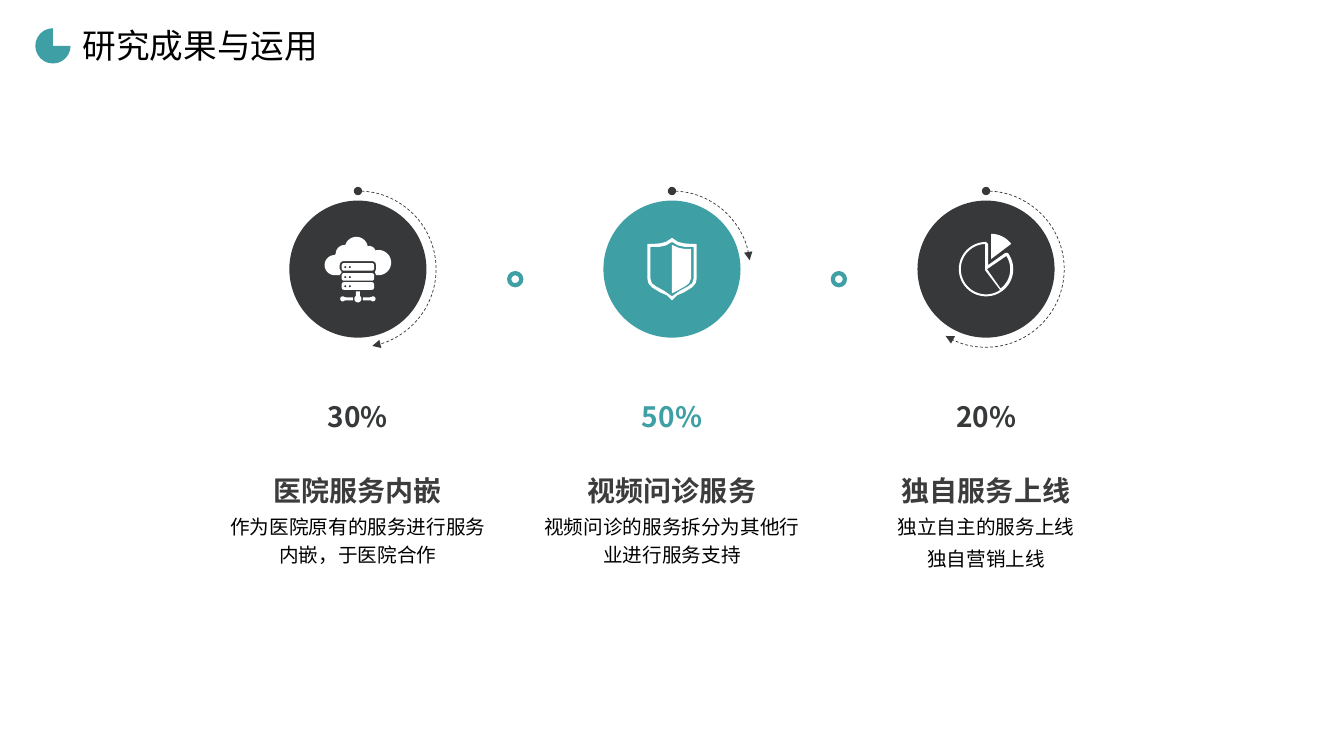
from dataclasses import dataclass
from math import cos, radians, sin

from lxml import etree
from pptx import Presentation
from pptx.dml.color import RGBColor
from pptx.enum.dml import MSO_LINE
from pptx.enum.shapes import MSO_SHAPE
from pptx.enum.text import MSO_ANCHOR, MSO_AUTO_SIZE, PP_ALIGN
from pptx.oxml.ns import qn
from pptx.util import Inches, Pt

ELLIPSE, ARC, PIE = MSO_SHAPE.OVAL, MSO_SHAPE.ARC, MSO_SHAPE.PIE
DASH = MSO_LINE.DASH
TOP, MIDDLE = MSO_ANCHOR.TOP, MSO_ANCHOR.MIDDLE
LEFT, CENTER = PP_ALIGN.LEFT, PP_ALIGN.CENTER
NO_FIT = MSO_AUTO_SIZE.NONE


@dataclass(frozen=True)
class Theme:
    teal: RGBColor = RGBColor.from_string("3E9FA5")
    dark: RGBColor = RGBColor.from_string("363839")
    heading: RGBColor = RGBColor.from_string("3C3C3C")
    black: RGBColor = RGBColor.from_string("000000")
    white: RGBColor = RGBColor.from_string("FFFFFF")
    display_font: str = "Noto Sans CJK SC"
    text_font: str = "Arial"
    title_size: int = 24
    heading_size: int = 20
    body_size: int = 14


THEME = Theme()


def arc(cx, cy, radius, start, end, steps=24):
    angles = [radians(start + (end - start) * i / steps) for i in range(steps + 1)]
    return [(cx + radius * cos(a), cy + radius * sin(a)) for a in angles]


def rounded_bar(left, top, width, height, radius=0.02):
    right, bottom = left + width - radius, top + height - radius
    left, top = left + radius, top + radius
    corners = [(left, top, 180), (right, top, 270), (right, bottom, 0), (left, bottom, 90)]
    return [p for x, y, a in corners for p in arc(x, y, radius, a, a + 90, 6)]


def mirrored(half):
    return half + [(-x, y) for x, y in half[-2:0:-1]]


def cloud_server():
    cloud = (
        arc(-0.23, -0.04, 0.1, 90, 270)
        + arc(-0.13, -0.15, 0.09, 180, 270)
        + arc(-0.015, -0.205, 0.115, 195, 350)
        + arc(0.11, -0.16, 0.07, 270, 325)
        + arc(0.205, -0.065, 0.125, -105, 90)
        + [(0.18, 0.06), (0.17, 0.03), (0.18, 0), (0.18, -0.04)]
        + arc(0.14, -0.04, 0.04, 0, -90, 8)
        + arc(-0.14, -0.04, 0.04, -90, -180, 8)
        + [(-0.18, 0), (-0.16, 0.03), (-0.18, 0.06)]
    )
    servers = []
    for top in (-0.06, 0.04, 0.13):
        servers.append(rounded_bar(-0.16, top, 0.32, 0.075))
        servers += [arc(x, top + 0.04, 0.011, 0, 360, 12) for x in (-0.125, -0.08)]
    network = [
        arc(0, 0.295, 0.035, -55, 235) + [(-0.02, 0.22), (0.02, 0.22)],
        arc(-0.15, 0.295, 0.025, 40, 320) + [(-0.05, 0.28), (-0.05, 0.31)],
        arc(0.15, 0.295, 0.025, 220, 500) + [(0.05, 0.31), (0.05, 0.28)],
    ]
    return [cloud] + servers + network


def shield():
    rim = [(0, -0.31), (0.06, -0.27), (0.12, -0.255), (0.19, -0.25), (0.245, -0.25),
           (0.245, 0.09), (0.235, 0.14), (0.2, 0.18), (0.12, 0.23), (0.05, 0.26), (0, 0.31)]
    inside = [(0, -0.27), (0.06, -0.235), (0.13, -0.22), (0.215, -0.22), (0.215, 0.09),
              (0.2, 0.14), (0.16, 0.17), (0.07, 0.22), (0, 0.27)]
    right_half = [(0, -0.24), (0.07, -0.21), (0.13, -0.2), (0.19, -0.2), (0.19, 0.09),
                  (0.17, 0.14), (0.13, 0.17), (0.06, 0.21), (0, 0.24)]
    return [mirrored(rim), mirrored(inside), right_half]


def pie_chart():
    return [
        arc(0, 0, 0.27, -37, 270, 48) + [(0.02, -0.25), (0.02, -0.04), (0.19, -0.16)],
        arc(0, 0, 0.24, -33, 53) + [(0.01, 0)],
        arc(0, 0, 0.25, 56, 268, 36) + [(-0.01, 0), (-0.01, 0.01)],
        arc(0.05, -0.1, 0.25, -90, -37) + [(0.05, -0.1)],
    ]


TITLE = "研究成果与运用"
SERVICES = [
    ("30%", "医院服务内嵌", ["作为医院原有的服务进行服务内嵌，于医院合作"],
     THEME.dark, 47.66, cloud_server()),
    ("50%", "视频问诊服务", ["视频问诊的服务拆分为其他行业进行服务支持"],
     THEME.teal, 212.09, shield()),
    ("20%", "独自服务上线", ["独立自主的服务上线", "独自营销上线"],
     THEME.dark, 72.7, pie_chart()),
]
FIRST_X, PITCH, CIRCLE_Y = 3.55, 3.115, 2.67
SEPARATOR_XS, SEPARATOR_Y = (5.11, 8.32), 2.77

prs = Presentation()
prs.slide_width, prs.slide_height = Inches(13.33), Inches(7.5)
slide = prs.slides.add_slide(prs.slide_layouts[5])


def add_round(kind, cx, cy, size, fill=None, line=None, weight=0):
    shape = slide.shapes.add_shape(
        kind, Inches(cx - size / 2), Inches(cy - size / 2), Inches(size), Inches(size))
    shape.shadow.inherit = False
    if fill is None:
        shape.fill.background()
    else:
        shape.fill.solid()
        shape.fill.fore_color.rgb = fill
    if line is None:
        shape.line.fill.background()
    else:
        shape.line.color.rgb = line
        shape.line.width = Pt(weight)
    return shape


def add_progress(cx, sweep_end):
    progress = add_round(ARC, cx, CIRCLE_Y, 1.55, line=THEME.dark, weight=0.5)
    progress.adjustments[0], progress.adjustments[1] = 162, sweep_end
    progress.line.dash_style = DASH
    outline = progress.line._get_or_add_ln()
    for end, kind in (("a:headEnd", "oval"), ("a:tailEnd", "triangle")):
        etree.SubElement(outline, qn(end)).set("type", kind)


def add_icon(cx, contours):
    placed = [[(Inches(cx + x), Inches(CIRCLE_Y + y)) for x, y in c] for c in contours]
    builder = slide.shapes.build_freeform(*placed[0][0])
    for index, points in enumerate(placed):
        if index:
            builder.move_to(*points[0])
        builder.add_line_segments(points[1:], close=True)
    icon = builder.convert_to_shape()
    icon.shadow.inherit = False
    icon.fill.solid()
    icon.fill.fore_color.rgb = THEME.white
    icon.line.fill.background()


def write(frame, lines, size, color, font, bold=False, align=CENTER,
          anchor=TOP, spacing=1.2, wrap=True):
    frame.text = "\n".join(lines)
    frame.auto_size, frame.word_wrap, frame.vertical_anchor = NO_FIT, wrap, anchor
    for index, paragraph in enumerate(frame.paragraphs):
        paragraph.alignment, paragraph.line_spacing = align, spacing
        paragraph.space_before = Pt(0.2 * size if index else 0)
        paragraph.font.size, paragraph.font.bold = Pt(size), bold
        paragraph.font.name, paragraph.font.color.rgb = font, color


def add_label(cx, top, width, height, lines, *style, inset=0, **options):
    box = slide.shapes.add_textbox(
        Inches(cx - width / 2), Inches(top), Inches(width), Inches(height))
    frame = box.text_frame
    frame.margin_left = frame.margin_right = Inches(inset)
    frame.margin_top = frame.margin_bottom = Inches(inset / 2)
    write(frame, lines, *style, **options)


title = slide.shapes.title
title.left, title.top, title.width, title.height = map(Inches, (0.72, 0.2, 2.56, 0.5))
write(title.text_frame, [TITLE], THEME.title_size, THEME.black, THEME.display_font,
      align=LEFT, spacing=1.0, wrap=False)
add_round(PIE, 0.525, 0.455, 0.35, fill=THEME.teal)

for separator_x in SEPARATOR_XS:
    add_round(ELLIPSE, separator_x, SEPARATOR_Y, 0.12, line=THEME.teal, weight=3)

for column, (share, heading, details, color, sweep_end, icon) in enumerate(SERVICES):
    cx = FIRST_X + column * PITCH
    add_round(ELLIPSE, cx, CIRCLE_Y, 1.36, fill=color)
    add_progress(cx, sweep_end)
    add_icon(cx, icon)
    add_label(cx, 3.85, 1.25, 0.5, [share], THEME.heading_size, color,
              THEME.display_font, bold=True, anchor=MIDDLE, inset=0.1)
    add_label(cx, 4.63, 1.74, 0.4, [heading], THEME.heading_size, THEME.heading,
              THEME.text_font, bold=True)
    add_label(cx, 5.06, 2.55, 0.61, details, THEME.body_size, THEME.black,
              THEME.text_font)

prs.save("out.pptx")
